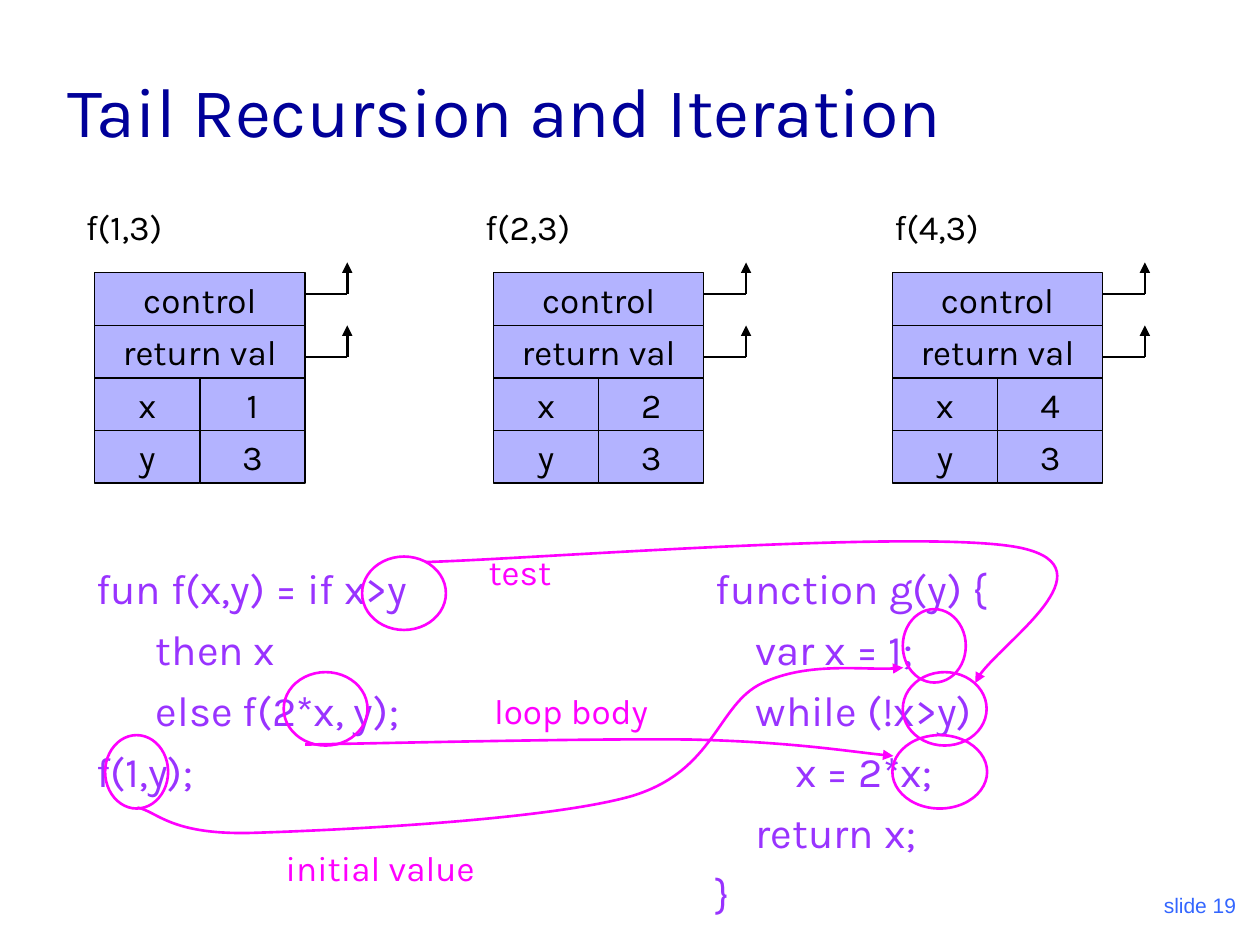
"""Build the slide "Tail Recursion and Iteration"."""
from lxml.etree import SubElement
from pptx import Presentation
from pptx.dml.color import RGBColor
from pptx.enum.shapes import MSO_CONNECTOR as CONN, MSO_SHAPE as SHAPE
from pptx.enum.text import MSO_ANCHOR as ANCHOR, PP_ALIGN as ALIGN
from pptx.oxml.ns import qn
from pptx.util import Cm, Pt

NAVY = RGBColor(0x00, 0x00, 0x99)
BLACK = RGBColor(0x00, 0x00, 0x00)
LILAC = RGBColor(0xB3, 0xB3, 0xFF)
PURPLE = RGBColor(0x99, 0x33, 0xFF)
MAGENTA = RGBColor(0xFF, 0x00, 0xFF)
BLUE = RGBColor(0x33, 0x66, 0xFF)


def write(sp, text, size, color, font="Karla", align=ALIGN.LEFT, anchor=ANCHOR.TOP, wrap=True):
    tf = sp.text_frame
    tf.text = text
    tf.word_wrap = wrap
    tf.vertical_anchor = anchor
    for p in tf.paragraphs:
        p.alignment = align
        for r in p.runs:
            r.font.name = font
            r.font.size = Pt(size)
            r.font.color.rgb = color
    return tf


def outline(sp, color, width, arrow=False):
    sp.line.color.rgb = color
    sp.line.width = Pt(width)
    if arrow:
        SubElement(sp.line._get_or_add_ln(), qn("a:tailEnd"), type="triangle")
    SubElement(sp._element.spPr, qn("a:effectLst"))


prs = Presentation()
prs.slide_width, prs.slide_height = Cm(25.4), Cm(19.05)
s = prs.slides.add_slide(prs.slide_layouts[6])

sp = s.shapes.add_textbox(Cm(19.89), Cm(17.35), Cm(5.28), Cm(1.27))
write(sp, "slide 19", 12, BLUE, "Arial", ALIGN.RIGHT, ANCHOR.BOTTOM)
sp = s.shapes.add_textbox(Cm(1.12), Cm(0.64), Cm(23.01), Cm(2.54))
write(sp, "Tail Recursion and Iteration", 40, NAVY, anchor=ANCHOR.BOTTOM)

COL, ROW, TOP = 2.12, 1.06, 5.5
STEP, STUB = 8.04, 0.85
for i, (x, label_left) in enumerate([(1, 1.48), (2, 9.53), (4, 17.78)]):
    left = 1.91 + i * STEP
    cells = [
        ("control", 0, 0, 2), ("return val", 0, 1, 2),
        ("x", 0, 2, 1), (str(x), 1, 2, 1),
        ("y", 0, 3, 1), ("3", 1, 3, 1),
    ]
    for text, col, row, span in cells:
        sp = s.shapes.add_shape(SHAPE.RECTANGLE, Cm(left + col * COL), Cm(TOP + row * ROW),
                                Cm(span * COL), Cm(ROW))
        sp.fill.solid()
        sp.fill.fore_color.rgb = LILAC
        outline(sp, BLACK, 0.75)
        write(sp, text, 20, BLACK, align=ALIGN.CENTER, anchor=ANCHOR.MIDDLE, wrap=False)
    edge = left + 2 * COL
    for y in (5.93, 7.2):
        for x1, y2, arrow in [(edge, y, False), (edge + STUB, y - 0.64, True)]:
            sp = s.shapes.add_connector(CONN.STRAIGHT, Cm(x1), Cm(y), Cm(edge + STUB), Cm(y2))
            outline(sp, BLACK, 1.5, arrow)
    sp = s.shapes.add_textbox(Cm(label_left), Cm(4.02), Cm(3.18), Cm(1.12))
    write(sp, f"f({x},3)", 20, BLACK)

RECURSIVE = """fun f(x,y) = if x>y
      then x
      else f(2*x, y);
f(1,y);"""
ITERATIVE = """function g(y) {
    var x = 1;
    while (!x>y)
        x = 2*x;
    return x;
}"""
for code, left, width, height in [(RECURSIVE, 0.42, 9.74, 5.93), (ITERATIVE, 12.91, 8.47, 7.2)]:
    sp = s.shapes.add_textbox(Cm(left), Cm(11.22), Cm(width), Cm(height))
    tf = write(sp, code, 24, PURPLE)
    for i, p in enumerate(tf.paragraphs):
        pPr = p._p.get_or_add_pPr()
        pPr.set("marL", str(Cm(2.06)))
        pPr.set("indent", str(Cm(-0.79)))
        p.space_before = Pt(6 if i else 0)

ovals = [
    (18.2, 12.28, 1.27), (2.12, 14.82, 1.27),
    (5.72, 13.55, 1.69), (17.99, 14.82, 1.91),
    (7.3, 11.22, 1.69), (18.2, 13.55, 1.69),
]
for left, top, width in ovals:
    sp = s.shapes.add_shape(SHAPE.OVAL, Cm(left), Cm(top), Cm(width), Cm(1.48))
    sp.fill.background()
    outline(sp, MAGENTA, 1.5)

curves = [
    [(2.77, 16.28), (3.18, 16.36), (3.43, 16.84), (5.11, 16.79), (6.76, 16.74), (11, 16.54),
     (12.73, 16.05), (14.43, 15.54), (14.45, 14.2), (15.37, 13.77), (16.28, 13.34),
     (17.6, 13.54), (18.21, 13.46)],
    [(6.15, 15.01), (7.44, 14.99), (12.01, 14.88), (13.97, 14.91), (15.95, 14.96),
     (17.17, 15.16), (18.01, 15.24)],
    [(8.59, 11.33), (10.59, 11.28), (18.75, 10.64), (20.6, 11.05), (22.43, 11.46),
     (19.86, 13.18), (19.66, 13.77)],
]
for points in curves:
    start, *rest = [(Cm(x), Cm(y)) for x, y in points]
    fb = s.shapes.build_freeform(*start)
    fb.add_line_segments(rest, close=False)
    sp = fb.convert_to_shape()
    path = sp._element.find(".//" + qn("a:path"))
    segments = path.findall(qn("a:lnTo"))
    for i in range(0, len(segments), 3):
        bezier = SubElement(path, qn("a:cubicBezTo"))
        for segment in segments[i:i + 3]:
            bezier.append(segment[0])
            path.remove(segment)
    sp.fill.background()
    outline(sp, MAGENTA, 1.5, arrow=True)

for text, left, top in [("initial value", 5.51, 16.94), ("loop body", 9.71, 13.77), ("test", 9.6, 10.97)]:
    sp = s.shapes.add_textbox(Cm(left), Cm(top), Cm(6.35), Cm(1.12))
    write(sp, text, 20, MAGENTA)

prs.save("out.pptx")
